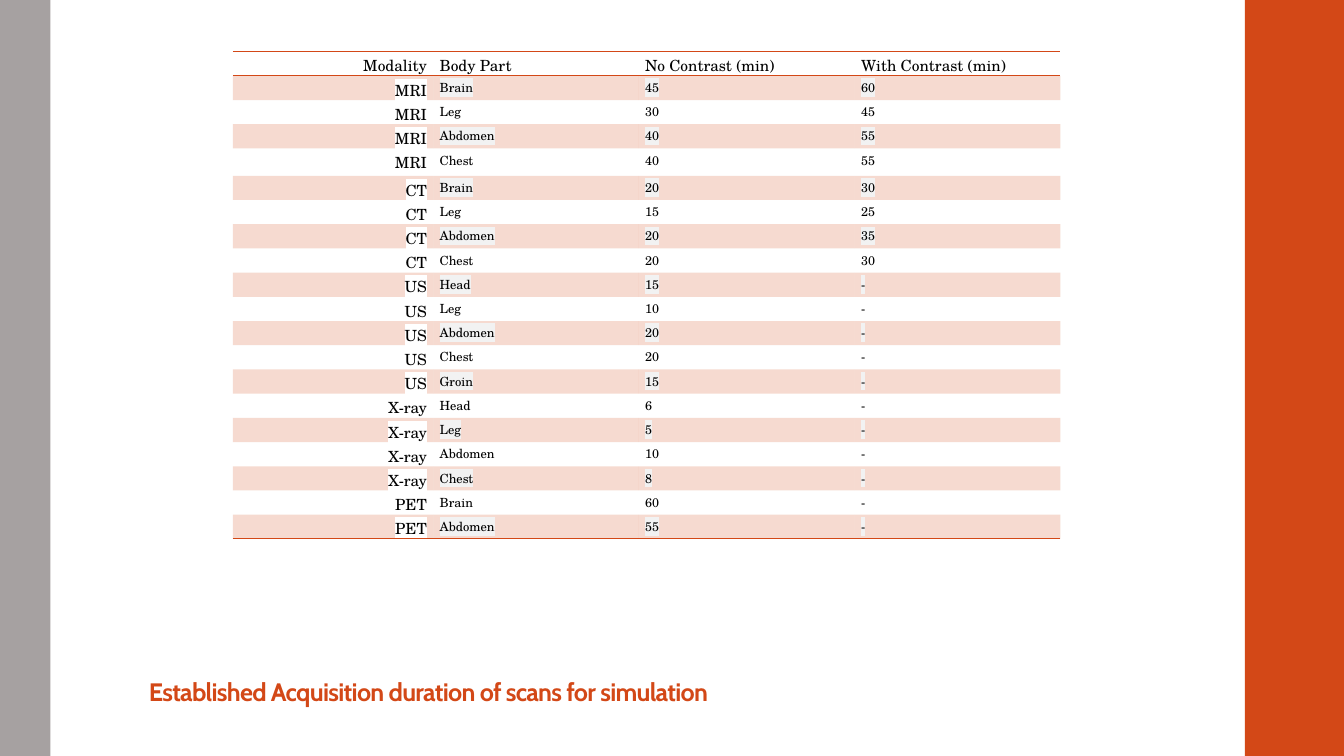
from dataclasses import dataclass

from lxml import etree
from pptx import Presentation
from pptx.dml.color import RGBColor
from pptx.enum.shapes import MSO_SHAPE
from pptx.enum.text import MSO_ANCHOR, PP_ALIGN
from pptx.oxml.ns import qn
from pptx.util import Cm, Pt

RECTANGLE = MSO_SHAPE.RECTANGLE
BOTTOM = MSO_ANCHOR.BOTTOM
LEFT, RIGHT = PP_ALIGN.LEFT, PP_ALIGN.RIGHT

ORANGE = RGBColor(0xD3, 0x48, 0x17)
GREY = RGBColor(0xA6, 0xA1, 0xA1)
PALE = RGBColor(0xF2, 0xF2, 0xF2)
WHITE = RGBColor(0xFF, 0xFF, 0xFF)
BLACK = RGBColor(0, 0, 0)

TITLE_FONT = "Cabin"
TABLE_FONT = "TeX Gyre Schola"
PLAIN_TABLE_STYLE = "{2D5ABB26-0587-4C30-8999-92F81FD0307C}"
PAGE_WIDTH, PAGE_HEIGHT = 33.87, 19.05
COLUMN_WIDTHS = (5.05, 5.18, 5.44, 5.18)
ROW_HEIGHT, TALL_ROW_HEIGHT, TALL_ROW = 0.61, 0.69, 4
HEADER = ("Modality", "Body Part", "No Contrast (min)", "With Contrast (min)")


@dataclass(frozen=True)
class SideBar:
    left: float
    width: float
    color: RGBColor


@dataclass(frozen=True)
class Scan:
    modality: str
    body_part: str
    no_contrast: str
    with_contrast: str = "-"

    def cells(self) -> tuple[str, ...]:
        return self.modality, self.body_part, self.no_contrast, self.with_contrast


SIDE_BARS = (SideBar(31.37, 2.5, ORANGE), SideBar(0, 1.27, GREY))
SCANS = (
    Scan("MRI", "Brain", "45", "60"),
    Scan("MRI", "Leg", "30", "45"),
    Scan("MRI", "Abdomen", "40", "55"),
    Scan("MRI", "Chest", "40", "55"),
    Scan("CT", "Brain", "20", "30"),
    Scan("CT", "Leg", "15", "25"),
    Scan("CT", "Abdomen", "20", "35"),
    Scan("CT", "Chest", "20", "30"),
    Scan("US", "Head", "15"),
    Scan("US", "Leg", "10"),
    Scan("US", "Abdomen", "20"),
    Scan("US", "Chest", "20"),
    Scan("US", "Groin", "15"),
    Scan("X-ray", "Head", "6"),
    Scan("X-ray", "Leg", "5"),
    Scan("X-ray", "Abdomen", "10"),
    Scan("X-ray", "Chest", "8"),
    Scan("PET", "Brain", "60"),
    Scan("PET", "Abdomen", "55"),
)


def write_text(frame, text: str, *, font: str, size: float, color: RGBColor,
               bold: bool = False, align=LEFT, line_spacing: float = 1.0,
               space_after: float = 0, character_spacing: float = 0,
               highlight: RGBColor | None = None) -> None:
    para = frame.paragraphs[0]
    para.alignment = align
    para.line_spacing = line_spacing
    para.space_after = Pt(space_after)
    span = para.add_run()
    span.text = text
    span.font.name = font
    span.font.size = Pt(size)
    span.font.bold = bold
    span.font.color.rgb = color
    properties = span.font._element
    if character_spacing:
        properties.set("spc", str(round(character_spacing * 100)))
    if highlight is not None:
        mark = etree.Element(qn("a:highlight"))
        etree.SubElement(mark, qn("a:srgbClr"), val=str(highlight))
        properties.find(qn("a:solidFill")).addnext(mark)


def set_margins(target, left: float, top: float, right: float, bottom: float) -> None:
    target.margin_left, target.margin_top = Cm(left), Cm(top)
    target.margin_right, target.margin_bottom = Cm(right), Cm(bottom)


def draw_side_bar(page, bar: SideBar) -> None:
    box = page.shapes.add_shape(RECTANGLE, Cm(bar.left), 0, Cm(bar.width), Cm(PAGE_HEIGHT))
    box.shadow.inherit = False
    box.fill.solid()
    box.fill.fore_color.rgb = bar.color
    box.line.fill.background()


def draw_title(page) -> None:
    box = page.shapes.add_textbox(Cm(3.5), Cm(14.27), Cm(26.92), Cm(3.68))
    frame = box.text_frame
    frame.word_wrap = True
    frame.vertical_anchor = BOTTOM
    set_margins(frame, 0.25, 0.08, 0.25, 0.13)
    write_text(frame, "Established Acquisition duration of scans for simulation",
               font=TITLE_FONT, size=18, color=ORANGE, bold=True,
               line_spacing=0.9, character_spacing=-0.5)


def fill_cell(cell, shaded: bool) -> None:
    if not shaded:
        cell.fill.background()
        return
    cell.fill.solid()
    cell.fill.fore_color.rgb = ORANGE
    color = cell._tc.tcPr.find(f"{qn('a:solidFill')}/{qn('a:srgbClr')}")
    etree.SubElement(color, qn("a:alpha"), val="20000")


def add_borders(cell, sides: tuple[str, ...]) -> None:
    for position, side in enumerate(sides):
        line = etree.Element(qn(f"a:ln{side}"), w=str(Pt(1)))
        fill = etree.SubElement(line, qn("a:solidFill"))
        etree.SubElement(fill, qn("a:srgbClr"), val=str(ORANGE))
        cell._tc.tcPr.insert(position, line)


def draw_table(page) -> None:
    rows = [HEADER, *(scan.cells() for scan in SCANS)]
    last_row = len(rows) - 1
    heights = [TALL_ROW_HEIGHT if index == TALL_ROW else ROW_HEIGHT
               for index in range(len(rows))]
    table = page.shapes.add_table(
        len(rows), len(HEADER), Cm(5.87), Cm(1.3),
        Cm(sum(COLUMN_WIDTHS)), Cm(sum(heights))).table
    table._tbl.tblPr.find(qn("a:tableStyleId")).text = PLAIN_TABLE_STYLE
    for column, width in zip(table.columns, COLUMN_WIDTHS):
        column.width = Cm(width)
    for row_index, values in enumerate(rows):
        table.rows[row_index].height = Cm(heights[row_index])
        shaded = row_index % 2 == 1
        sides = {0: ("T", "B"), last_row: ("B",)}.get(row_index, ())
        for column_index, value in enumerate(values):
            cell = table.cell(row_index, column_index)
            set_margins(cell, 0.16, 0.03, 0.16, 0)
            label = row_index == 0 or column_index == 0
            highlight = WHITE if label else PALE if shaded else None
            write_text(cell.text_frame, value, font=TABLE_FONT, size=11 if label else 9,
                       color=BLACK, align=LEFT if column_index else RIGHT,
                       line_spacing=1.07, space_after=8, highlight=highlight)
            fill_cell(cell, shaded)
            add_borders(cell, sides)


def main() -> None:
    deck = Presentation()
    deck.slide_width, deck.slide_height = Cm(PAGE_WIDTH), Cm(PAGE_HEIGHT)
    page = deck.slides.add_slide(deck.slide_layouts[6])
    draw_title(page)
    for bar in SIDE_BARS:
        draw_side_bar(page, bar)
    draw_table(page)
    deck.save("out.pptx")


if __name__ == "__main__":
    main()
